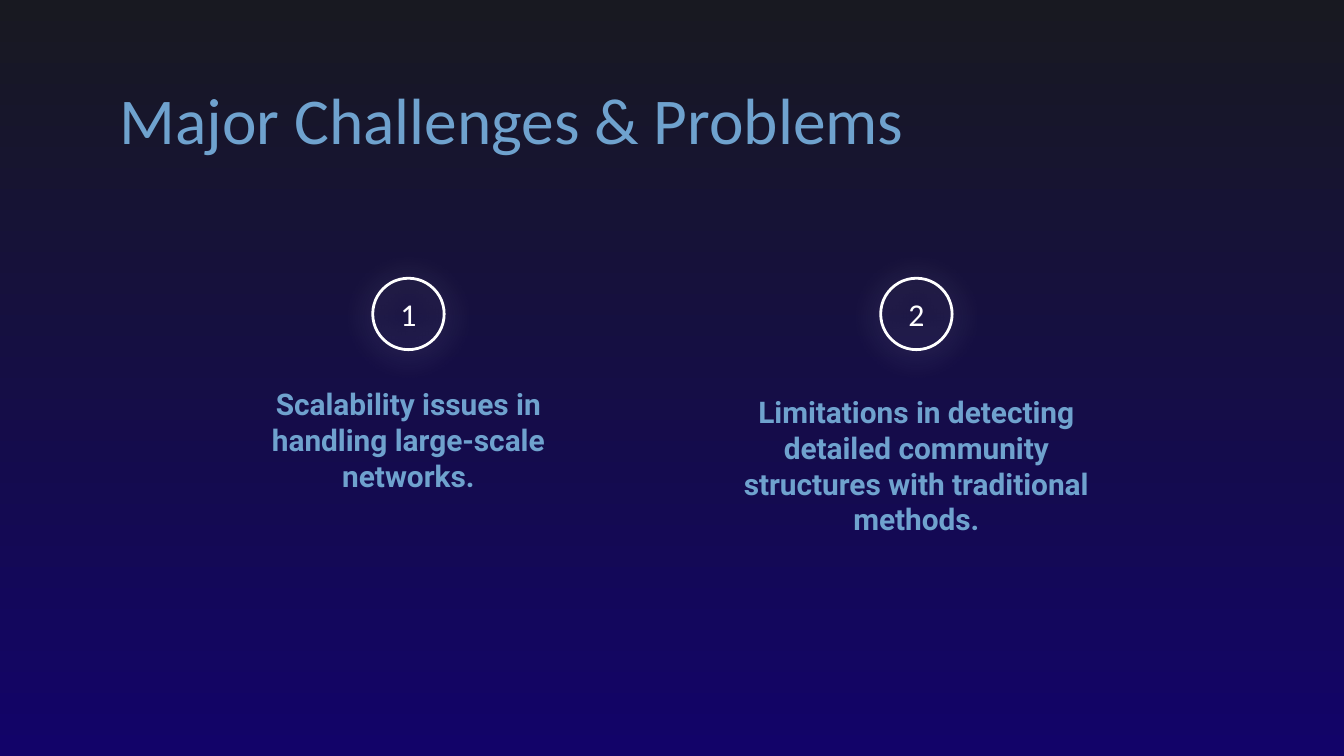
from lxml.etree import SubElement
from pptx import Presentation
from pptx.dml.color import RGBColor
from pptx.enum.shapes import MSO_SHAPE
from pptx.enum.text import MSO_ANCHOR, PP_ALIGN
from pptx.oxml.ns import qn
from pptx.util import Cm, Pt

NAVY = RGBColor(0x12, 0x03, 0x69)
INK = RGBColor(0x18, 0x19, 0x21)
BLUE = RGBColor(0x6F, 0xA2, 0xCE)
WHITE = RGBColor(0xFF, 0xFF, 0xFF)


def add_text(sp, text, size, font, color, align, bold=False):
    tf = sp.text_frame
    tf.word_wrap = True
    tf.margin_left = tf.margin_right = tf.margin_top = tf.margin_bottom = Cm(0.25)
    p = tf.paragraphs[0]
    p.alignment = align
    r = p.add_run()
    r.text = text
    r.font.size = Pt(size)
    r.font.name = font
    r.font.bold = bold
    r.font.color.rgb = color


def add_glow(sp):
    sp.shadow.inherit = False
    effects = sp._element.spPr.find(qn("a:effectLst"))
    shadow = SubElement(effects, qn("a:outerShdw"), blurRad=str(Pt(15.8)),
                        dist=str(Pt(1.5)), dir="5400000", algn="bl", rotWithShape="0")
    color = SubElement(shadow, qn("a:srgbClr"), val=str(WHITE))
    SubElement(color, qn("a:alpha"), val="50000")


prs = Presentation()
prs.slide_width, prs.slide_height = Cm(25.4), Cm(14.29)
s = prs.slides.add_slide(prs.slide_layouts[6])

# Background: navy at the bottom, near black at the top
fill = s.background.fill
fill.gradient()
fill.gradient_angle = 90
for stop, color in zip(fill.gradient_stops, (NAVY, INK)):
    stop.color.rgb = color

# Title
sp = s.shapes.add_textbox(Cm(2.01), Cm(1.24), Cm(21.41), Cm(1.6))
add_text(sp, "Major Challenges & Problems", 35, "Calibri", BLUE, PP_ALIGN.LEFT)

# Numbered challenges: centre, text top, text height, wording
challenges = [
    (7.72, 7.04, 1.98, "Scalability issues in handling large-scale networks."),
    (17.32, 7.19, 3.2, "Limitations in detecting detailed community "
                       "structures with traditional methods."),
]
DIAMETER, TEXT_WIDTH = 1.35, 7.72
for number, (center, top, height, text) in enumerate(challenges, 1):
    # Glowing ring
    sp = s.shapes.add_shape(MSO_SHAPE.OVAL, Cm(center - DIAMETER / 2), Cm(5.26),
                            Cm(DIAMETER), Cm(DIAMETER))
    sp.fill.background()
    sp.line.color.rgb = WHITE
    sp.line.width = Pt(1.5)
    add_glow(sp)
    sp.text_frame.vertical_anchor = MSO_ANCHOR.MIDDLE
    add_text(sp, str(number), 17, "Calibri", WHITE, PP_ALIGN.CENTER)

    # Description
    sp = s.shapes.add_textbox(Cm(center - TEXT_WIDTH / 2), Cm(top),
                              Cm(TEXT_WIDTH), Cm(height))
    add_text(sp, text, 16, "Roboto", BLUE, PP_ALIGN.CENTER, bold=True)

prs.save("out.pptx")
